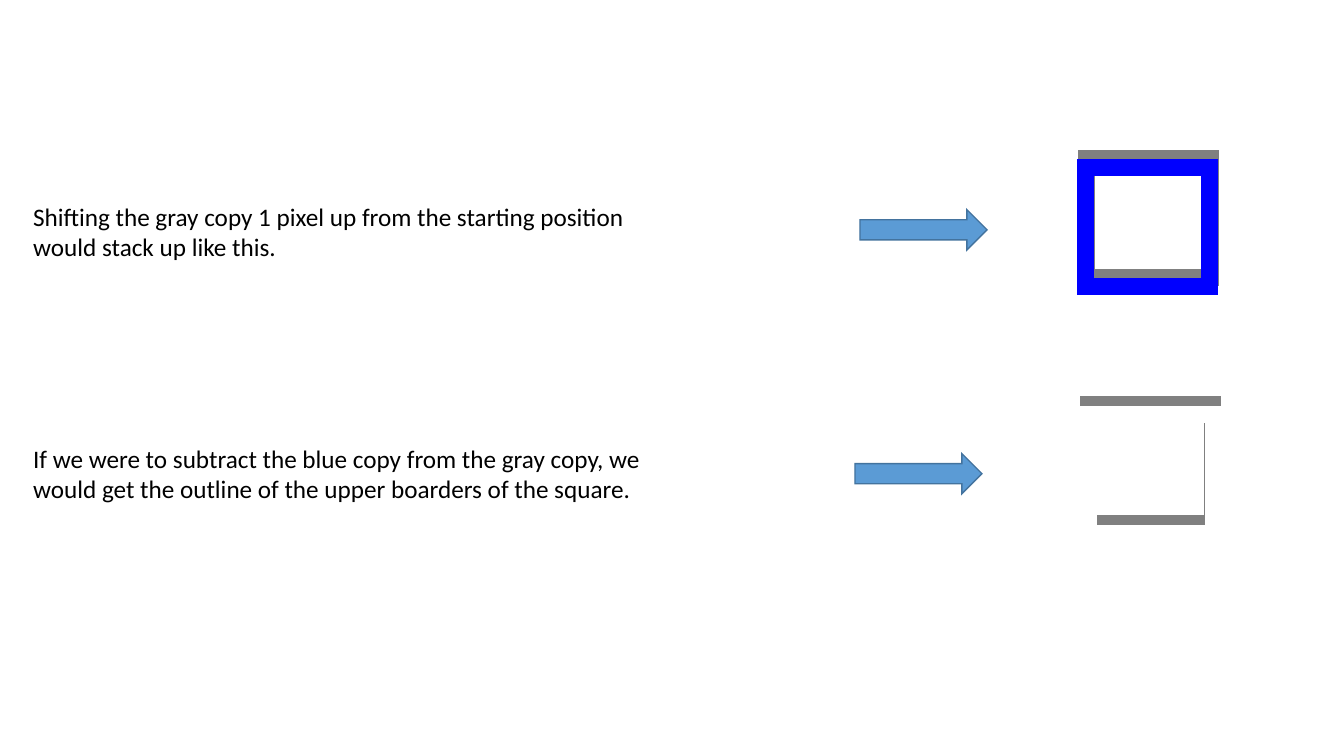
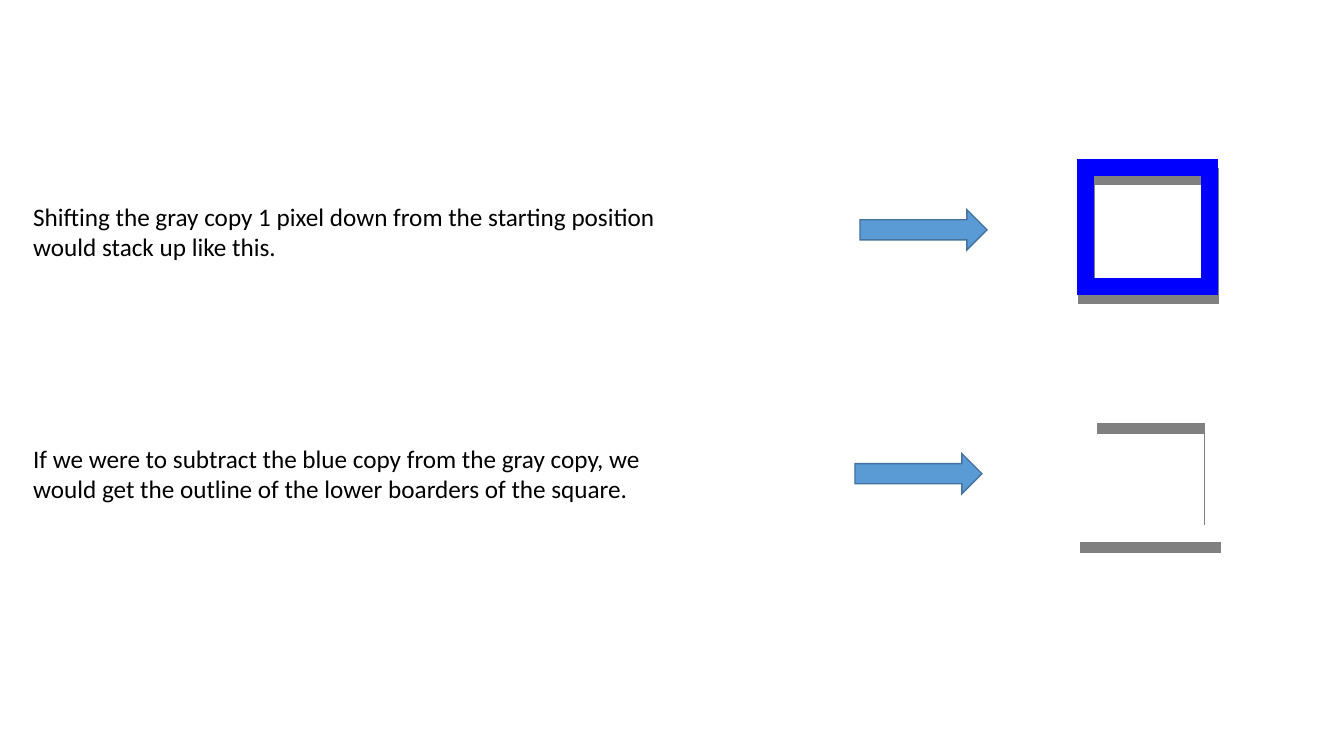
import pptx
import pptx.util
import pptx.dml.color
import pptx.enum.shapes
import lxml.etree
from pptx.util import Inches, Pt
from pptx.dml.color import RGBColor
from pptx.enum.shapes import MSO_SHAPE

# Shared style
BLACK = RGBColor(0x00, 0x00, 0x00)
WHITE = RGBColor(0xFF, 0xFF, 0xFF)
GRAY = RGBColor(0x80, 0x80, 0x80)
BLUE = RGBColor(0x00, 0x00, 0xFF)
ARROW_FILL = RGBColor(0x5B, 0x9B, 0xD5)
ARROW_LINE = RGBColor(0x43, 0x73, 0x9E)
FONT = "Calibri"
SIDE_W, SIDE_H = 1.23, 1.18

# Direction, border name, top of the gray square when stacked and subtracted
SLIDES = [
    ("up", "upper", 1.57, 4.01),
    ("down", "lower", 1.75, 4.22),
]


def add_shape(s, kind, left, top, width, height, line, weight):
    sp = s.shapes.add_shape(kind, Inches(left), Inches(top),
                            Inches(width), Inches(height))
    sp.shadow.inherit = False
    sp.line.color.rgb = line
    sp.line.width = Pt(weight)
    # Sharp corners on the outline
    ln = sp.line._get_or_add_ln()
    miter = lxml.etree.SubElement(ln, pptx.oxml.ns.qn("a:miter"))
    miter.set("lim", "800000")
    return sp


def add_arrow(s, left, top):
    sp = add_shape(s, MSO_SHAPE.RIGHT_ARROW, left, top, 1.26, 0.4, ARROW_LINE, 1)
    sp.fill.solid()
    sp.fill.fore_color.rgb = ARROW_FILL


def add_square(s, left, top, color, width=SIDE_W):
    sp = add_shape(s, MSO_SHAPE.RECTANGLE, left, top, width, SIDE_H, color, 12)
    sp.fill.background()


def add_text(s, top, text):
    sp = s.shapes.add_textbox(Inches(0.23), Inches(top), Inches(6.67), Inches(0.71))
    tf = sp.text_frame
    tf.word_wrap = True
    tf.text = text
    font = tf.paragraphs[0].runs[0].font
    font.name = FONT
    font.size = Pt(18)
    font.color.rgb = BLACK


def add_shift_slide(prs, direction, border, stacked_top, subtracted_top):
    s = prs.slides.add_slide(prs.slide_layouts.get_by_name("Blank"))

    # Stacked squares
    add_text(s, 1.95, f"Shifting the gray copy 1 pixel {direction} from the "
                      "starting position would stack up like this.")
    add_arrow(s, 8.53, 2.08)
    add_square(s, 10.78, stacked_top, GRAY)
    add_square(s, 10.77, 1.66, BLUE)

    # Result of the subtraction: white hides what the blue copy covered
    add_text(s, 4.35, "If we were to subtract the blue copy from the gray copy, we "
                      f"would get the outline of the {border} boarders of the square.")
    add_arrow(s, 8.48, 4.5)
    add_square(s, 10.8, subtracted_top, GRAY)
    add_square(s, 10.8, 4.11, WHITE, width=1.24)


def main():
    prs = pptx.Presentation()
    prs.slide_width = Inches(13.33)
    prs.slide_height = Inches(7.5)
    for content in SLIDES:
        add_shift_slide(prs, *content)
    prs.save("out.pptx")


if __name__ == "__main__":
    main()
